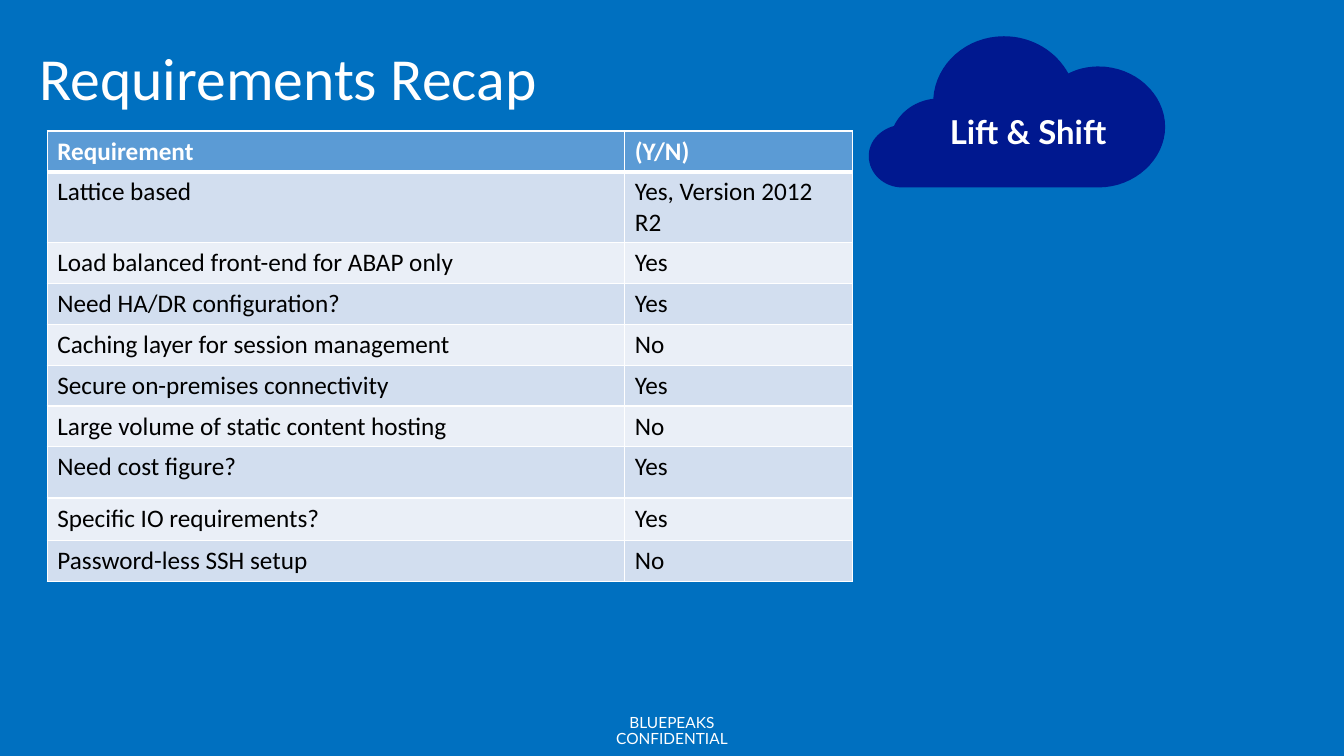
from lxml import etree
from pptx import Presentation
from pptx.dml.color import RGBColor
from pptx.enum.text import MSO_ANCHOR, PP_ALIGN
from pptx.oxml.ns import qn
from pptx.util import Pt

LEFT, CENTER = PP_ALIGN.LEFT, PP_ALIGN.CENTER
TOP, MIDDLE = MSO_ANCHOR.TOP, MSO_ANCHOR.MIDDLE

COLORS = {
    "background": "0070C0",
    "header": "5B9BD5",
    "odd": "D2DEEF",
    "even": "EAEFF7",
    "cloud": "00188F",
    "white": "FFFFFF",
    "black": "000000",
}

REQUIREMENTS = [
    ("Requirement", "(Y/N)"),
    ("Lattice based", "Yes, Version 2012 R2"),
    ("Load balanced front-end for ABAP only", "Yes"),
    ("Need HA/DR configuration?", "Yes"),
    ("Caching layer for session management", "No"),
    ("Secure on-premises connectivity", "Yes"),
    ("Large volume of static content hosting", "No"),
    ("Need cost figure?", "Yes"),
    ("Specific IO requirements?", "Yes"),
    ("Password-less SSH setup", "No"),
]
COLUMN_WIDTHS = [412.5, 162.8]
ROW_HEIGHTS = [29.2, 50.4, 29.2, 29.2, 29.2, 29.2, 29.2, 36.5, 30.4, 29.2]

# Cloud outline: each curve has two control points and an end point
CLOUD_START = (644.4, 133.9)
CLOUD_CURVES = [
    ((631.4, 133.9), (620.6, 123.8), (620.6, 111.6)),
    ((620.6, 100.8), (628.6, 92.9), (638.6, 90)),
    ((643.7, 79.2), (654.5, 72), (666.7, 70.6)),
    ((668.2, 45.4), (690.5, 25.9), (717.1, 25.9)),
    ((737.3, 25.9), (754.6, 36.7), (763.2, 52.6)),
    ((769.7, 49), (777.6, 47.5), (784.8, 47.5)),
    ((810.7, 47.5), (832.3, 67), (832.3, 90.7)),
    ((832.3, 113.8), (810.7, 133.9), (784.8, 133.9)),
]


def curve_points(start, curves, steps=16):
    """Points along a chain of cubic Bezier curves, in hundredths of a point."""
    points = []
    for c1, c2, end in curves:
        for i in range(1, steps + 1):
            t = i / steps
            u = 1 - t
            points.append(tuple(
                100 * (u**3 * a + 3 * u * u * t * b + 3 * u * t * t * c + t**3 * d)
                for a, b, c, d in zip(start, c1, c2, end)))
        start = end
    return points


class SlideBuilder:
    def __init__(self, slide):
        self.s = slide

    def color(self, name):
        return RGBColor.from_string(COLORS[name])

    def fill(self, target, name):
        target.fill.solid()
        target.fill.fore_color.rgb = self.color(name)

    def font(self, p, size, face="Calibri", color="white", bold=False):
        for r in p.runs:
            r.font.size = Pt(size)
            r.font.name = face
            r.font.bold = bold
            r.font.color.rgb = self.color(color)

    def text(self, text, box, size, face, bold=False, align=LEFT, anchor=TOP,
             insets=(7.2, 3.6), after=0):
        sp = self.s.shapes.add_textbox(*map(Pt, box))
        tf = sp.text_frame
        tf.word_wrap = True
        tf.vertical_anchor = anchor
        tf.margin_left = tf.margin_right = Pt(insets[0])
        tf.margin_top = tf.margin_bottom = Pt(insets[1])
        p = tf.paragraphs[0]
        p.text = text
        p.alignment = align
        p.line_spacing = 0.9
        p.space_after = Pt(after)
        self.font(p, size, face, bold=bold)

    def borders(self, cell, top, bottom):
        tcPr = cell._tc.get_or_add_tcPr()
        for side, width in (("L", 1), ("R", 1), ("T", top), ("B", bottom)):
            ln = etree.SubElement(tcPr, qn(f"a:ln{side}"), w=str(Pt(width)))
            solid = etree.SubElement(ln, qn("a:solidFill"))
            etree.SubElement(solid, qn("a:srgbClr"), val=COLORS["white"])

    def table(self, rows, left, top, widths, heights):
        table = self.s.shapes.add_table(
            len(rows), len(widths), Pt(left), Pt(top),
            Pt(sum(widths)), Pt(sum(heights))).table
        for column, width in zip(table.columns, widths):
            column.width = Pt(width)
        for i, (values, height) in enumerate(zip(rows, heights)):
            table.rows[i].height = Pt(height)
            header = i == 0
            band = "header" if header else "odd" if i % 2 else "even"
            for j, value in enumerate(values):
                cell = table.cell(i, j)
                cell.text = value
                self.borders(cell, 3 if i == 1 else 1, 3 if header else 1)
                self.fill(cell, band)
                self.font(cell.text_frame.paragraphs[0], 18,
                          color="white" if header else "black", bold=header)

    def outline(self, start, curves, color):
        x, y = start
        builder = self.s.shapes.build_freeform(100 * x, 100 * y, scale=Pt(1) / 100)
        builder.add_line_segments(curve_points(start, curves), close=True)
        sp = builder.convert_to_shape()
        sp.shadow.inherit = False
        self.fill(sp, color)
        sp.line.fill.background()


def main():
    prs = Presentation()
    prs.slide_width, prs.slide_height = Pt(960), Pt(540)
    s = prs.slides.add_slide(prs.slide_layouts[6])
    slide = SlideBuilder(s)
    slide.fill(s.background, "background")

    # Footer and title
    slide.text("BLUEPEAKS CONFIDENTIAL", (396.5, 504.7, 167, 35.3), 11, "Lato",
               align=CENTER, anchor=MIDDLE, insets=(28, 11.5), after=6)
    slide.text("Requirements Recap", (20.9, 23, 905, 70.6), 42.6, "Calibri",
               anchor=MIDDLE)

    # Requirements table
    slide.table(REQUIREMENTS, 33.8, 93.6, COLUMN_WIDTHS, ROW_HEIGHTS)

    # Cloud with its label
    slide.outline(CLOUD_START, CLOUD_CURVES, "cloud")
    slide.text("Lift & Shift", (648.7, 74.2, 171.4, 34.6), 23.5, "Lato", bold=True,
               align=CENTER, insets=(10.8, 8.6))

    prs.save("out.pptx")


if __name__ == "__main__":
    main()
